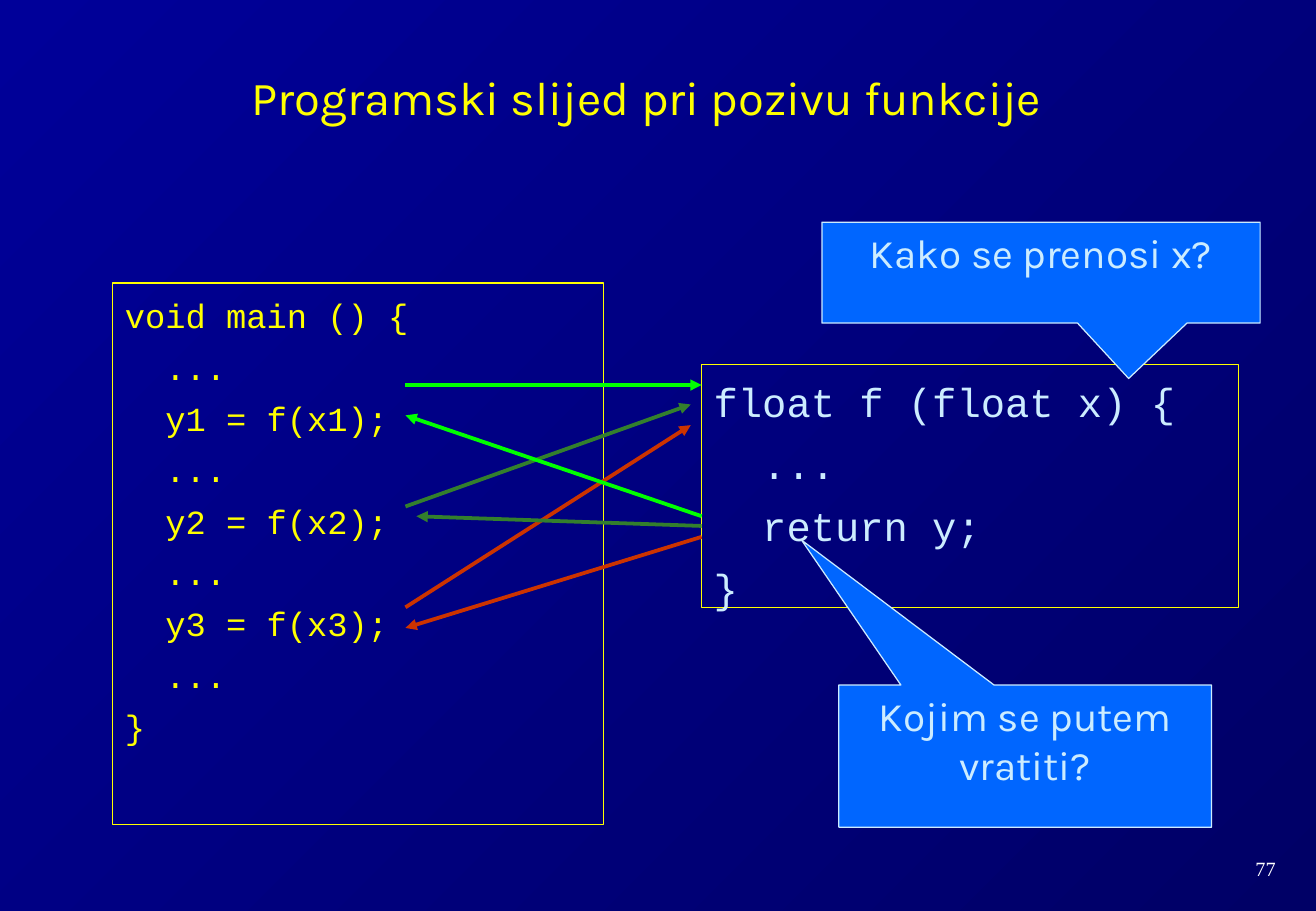
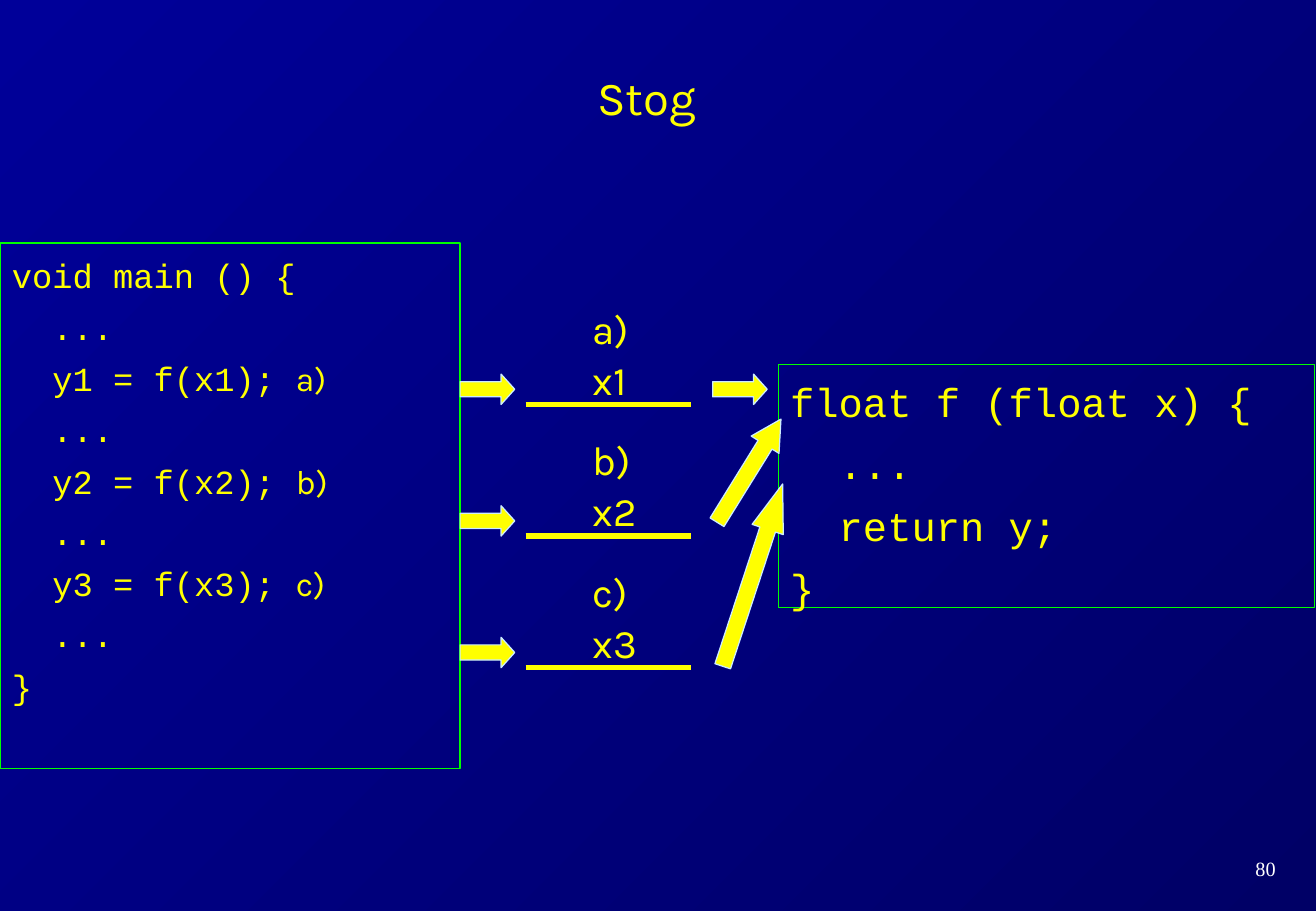
from dataclasses import dataclass

from lxml import etree
from pptx import Presentation
from pptx.dml.color import RGBColor
from pptx.enum import shapes, text
from pptx.oxml.ns import qn
from pptx.util import Inches, Pt


@dataclass(frozen=True)
class Theme:
    dark: str = "000066"
    deep: str = "000099"
    yellow: str = "FFFF00"
    pale: str = "CCECFF"
    lime: str = "00FF00"
    green: str = "337F2D"
    red: str = "CC3300"
    blue: str = "0066FF"
    white: str = "FFFFFF"
    sans: str = "Karla"
    mono: str = "Courier New"
    serif: str = "Times New Roman"
    title: int = 28
    large: int = 24
    code: int = 20
    small: int = 12
    thin: float = 0.75
    arrow: float = 2.25
    rule: float = 3


T = Theme()

# A code line is a string, or a pair of code and its label
MAIN = ["void main () {", "  ...", "  y1 = f(x1);", "  ...", "  y2 = f(x2);",
        "  ...", "  y3 = f(x3);", "  ...", "}"]
LABELS = {2: "a)", 4: "b)", 6: "c)"}
MARKED = [(line + " ", LABELS[i]) if i in LABELS else line
          for i, line in enumerate(MAIN)]
FUNC = ["float f (float x) {", "  ...", "  return y;", "}"]

# Start, end, colour
FLOWS = [
    ((3.34, 3.17), (5.78, 3.17), T.lime),
    ((3.34, 4.17), (5.69, 3.33), T.green),
    ((3.34, 5), (5.69, 3.5), T.red),
    ((5.78, 4.25), (3.34, 3.42), T.lime),
    ((5.78, 4.33), (3.43, 4.25), T.green),
    ((5.78, 4.42), (3.34, 5.17), T.red),
]
# Text, place, tip of the tail
NOTES = [
    ("Kojim se putem vratiti?", (6.91, 5.64, 3.07, 1.17), (-0.6, -1.52)),
    ("Kako se prenosi x?", (6.77, 1.83, 3.61, 0.83), (0.2, 1.05)),
]
STACK = [("a)", "x1"), ("b)", "x2"), ("c)", "x3")]
STEP = 13 / 12
# Place, angle, head length
CALLS = [
    ((5.87, 3.08, 0.45, 0.25), 0, 0.45),
    ((5.67, 3.74, 1, 0.27), 301.8, 0.92),
    ((5.41, 4.6, 1.58, 0.27), 288.2, 1.46),
]


def rgb(code):
    return RGBColor.from_string(code)


def place(at):
    return [Inches(v) for v in at]


def style(run, font, size, color):
    run.font.name, run.font.size = font, Pt(size)
    run.font.color.rgb = rgb(color)


def edge(shape, color, width):
    shape.line.color.rgb = rgb(color)
    shape.line.width = Pt(width)


def write(shape, words, font, size, color, align=text.PP_ALIGN.LEFT):
    para = shape.text_frame.paragraphs[0]
    para.text, para.alignment = words, align
    style(para.runs[0], font, size, color)


def label(slide, words, at, font=T.sans, size=T.large, color=T.yellow,
          align=text.PP_ALIGN.LEFT):
    box = slide.shapes.add_textbox(*place(at))
    frame = box.text_frame
    frame.margin_left = frame.margin_right = 0
    frame.margin_top = frame.margin_bottom = 0
    frame.vertical_anchor = text.MSO_ANCHOR.MIDDLE
    write(box, words, font, size, color, align)


def listing(slide, lines, at, size, gap, color, border):
    """Framed program text."""
    box = slide.shapes.add_textbox(*place(at))
    edge(box, border, T.thin)
    frame = box.text_frame
    frame.word_wrap = True
    frame.margin_top = Inches(0.1)
    for i, line in enumerate(lines):
        para = frame.add_paragraph() if i else frame.paragraphs[0]
        if i:
            para.space_before = Pt(gap)
        parts = (line,) if isinstance(line, str) else line
        for part, font in zip(parts, (T.mono, T.sans)):
            run = para.add_run()
            run.text = part
            style(run, font, size, color)


def solid(slide, kind, at, fill, adjust):
    shape = slide.shapes.add_shape(kind, *place(at))
    shape.shadow.inherit = False
    shape.fill.solid()
    shape.fill.fore_color.rgb = rgb(fill)
    edge(shape, T.pale, T.thin)
    for i, value in enumerate(adjust):
        shape.adjustments[i] = value
    return shape


def arrow(slide, at, angle=0, head=0.45):
    shape = solid(slide, shapes.MSO_SHAPE.RIGHT_ARROW, at, T.yellow, (0.5, head))
    shape.rotation = angle


def line(slide, start, end, color, width, head=False):
    link = slide.shapes.add_connector(
        shapes.MSO_CONNECTOR.STRAIGHT, *place(start + end))
    edge(link, color, width)
    if head:
        tail = etree.SubElement(link.line._get_or_add_ln(), qn("a:tailEnd"))
        tail.set("type", "triangle")
    etree.SubElement(link._element.spPr, qn("a:effectLst"))


def paint(master):
    fill = master.background.fill
    fill.gradient()
    fill.gradient_angle = 135
    for stop, color in zip(fill.gradient_stops, (T.dark, T.deep)):
        stop.color.rgb = rgb(color)


def begin(deck, title, number):
    slide = deck.slides.add_slide(deck.slide_layouts[5])
    head = slide.shapes.title
    head.left, head.top, head.width, head.height = place((0.54, 0.25, 9.57, 0.83))
    head.text_frame.vertical_anchor = text.MSO_ANCHOR.BOTTOM
    write(head, title, T.sans, T.title, T.yellow, text.PP_ALIGN.CENTER)
    label(slide, number, (10.02, 7, 0.81, 0.3), T.serif, T.small, T.white,
          text.PP_ALIGN.CENTER)
    return slide


def flow(deck):
    slide = begin(deck, "Programski slijed pri pozivu funkcije", "77")
    listing(slide, MAIN, (0.93, 2.33, 4.04, 4.46), T.code, 6.4, T.yellow, T.yellow)
    listing(slide, FUNC, (5.78, 3, 4.42, 2), T.large, 8, T.pale, T.yellow)
    for start, end, color in FLOWS:
        line(slide, start, end, color, T.arrow, head=True)
    for words, at, tip in NOTES:
        note = solid(slide, shapes.MSO_SHAPE.RECTANGULAR_CALLOUT, at, T.blue, tip)
        note.text_frame.word_wrap = True
        note.text_frame.vertical_anchor = text.MSO_ANCHOR.TOP
        write(note, words, T.sans, T.large, T.pale, text.PP_ALIGN.CENTER)


def stack(deck):
    slide = begin(deck, "Stog", "80")
    listing(slide, MARKED, (0, 2, 3.79, 4.33), T.code, 6.4, T.yellow, T.lime)
    listing(slide, FUNC, (6.41, 3, 4.42, 2), T.large, 8, T.yellow, T.lime)
    for i, (mark, value) in enumerate(STACK):
        top = 2.5 + i * STEP
        label(slide, mark, (4.88, top, 0.54, 0.4))
        label(slide, value, (4.88, top + 0.42, 0.45, 0.4))
        line(slide, (4.33, top + 0.83), (5.69, top + 0.83), T.yellow, T.rule)
        arrow(slide, (3.79, top + 0.58, 0.45, 0.25))
    for call in CALLS:
        arrow(slide, *call)


def main():
    deck = Presentation()
    deck.slide_width, deck.slide_height = place((10.84, 7.5))
    paint(deck.slide_master)
    flow(deck)
    stack(deck)
    deck.save("out.pptx")


if __name__ == "__main__":
    main()
